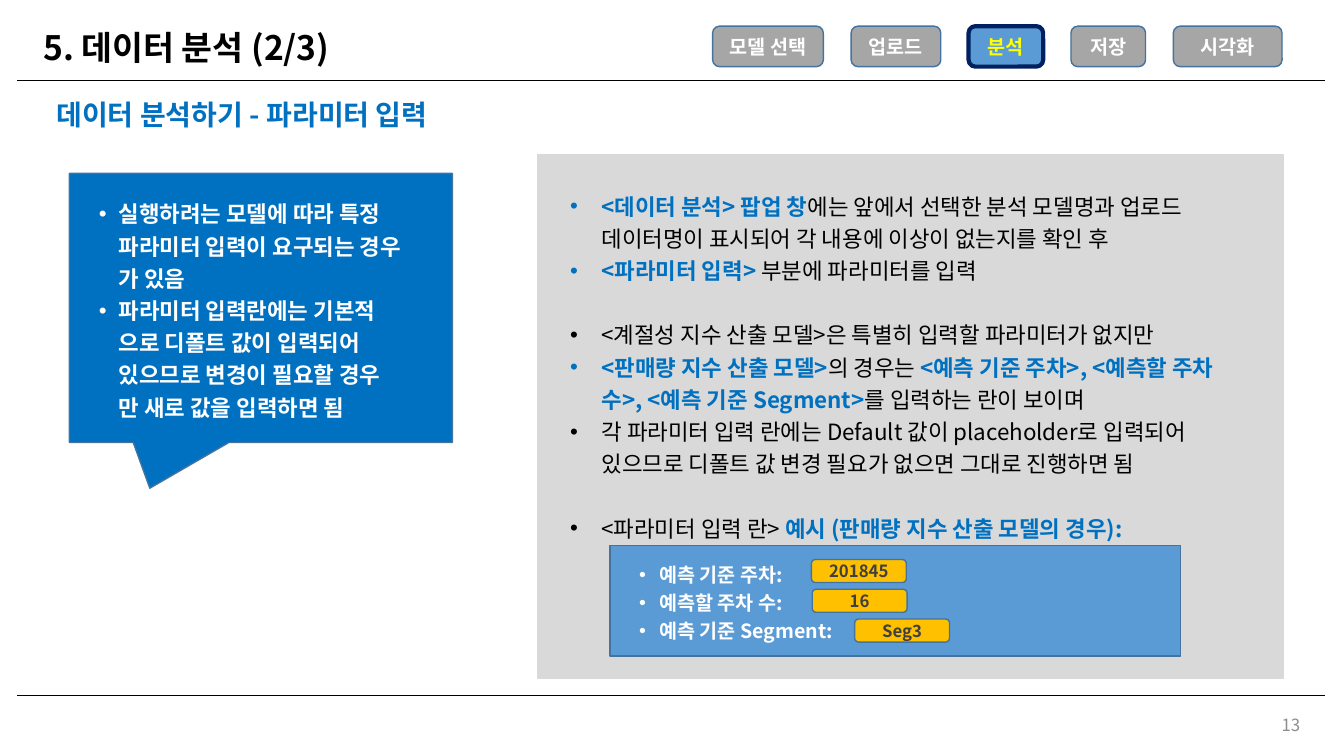
"""Build the parameter-input slide of the data analysis section."""
from dataclasses import dataclass

from lxml import etree
from pptx import Presentation
from pptx import util as u
from pptx.dml.color import RGBColor
from pptx.enum import shapes, text
from pptx.oxml import ns


@dataclass(frozen=True)
class Theme:
    font: str = "Noto Sans CJK KR"
    black: str = "000000"
    white: str = "FFFFFF"
    accent: str = "0070C0"
    sky: str = "5B9BD5"
    navy: str = "002060"
    edge: str = "43739E"
    yellow: str = "FFFF00"
    amber: str = "FFC000"
    dark: str = "404040"
    tab: str = "A6A6A6"
    panel: str = "D9D9D9"
    muted: str = "8C8C8C"
    title: int = 24
    subtitle: int = 20
    body: int = 16
    label: int = 14
    small: int = 12


T = Theme()
SHAPE, ALIGN = shapes.MSO_SHAPE, text.PP_ALIGN


def write(tf, paras, size, color, bold=False, align=ALIGN.LEFT, spacing=None,
          indent=None, hanging=0.5, gaps=(), anchor=text.MSO_ANCHOR.MIDDLE):
    """Fill a frame with paragraphs, each a string or a list of (text, highlighted) pairs."""
    tf.word_wrap = True
    tf.vertical_anchor = anchor
    for i, para in enumerate(paras):
        p = tf.paragraphs[0] if i == 0 else tf.add_paragraph()
        p.alignment = align
        if indent is not None:
            pPr = p._p.get_or_add_pPr()
            pPr.set("marL", str(u.Cm(indent)))
            pPr.set("indent", str(-u.Cm(hanging)))
            etree.SubElement(pPr, ns.qn("a:buFont")).set("typeface", "Arial")
            etree.SubElement(pPr, ns.qn("a:buChar")).set("char", "•")
        if spacing:
            p.line_spacing = spacing
        if i in gaps:
            p.space_before = spacing
        for words, strong in [(para, False)] if isinstance(para, str) else para:
            for n, line in enumerate(words.split("\n")):
                if n:
                    p.add_line_break()
                r = p.add_run()
                r.text = line
                r.font.name = T.font
                r.font.size = u.Pt(size)
                r.font.bold = bold or strong
                r.font.color.rgb = RGBColor.from_string(T.accent if strong else color)
                ea = etree.SubElement(r._r.get_or_add_rPr(), ns.qn("a:ea"))
                ea.set("typeface", T.font)


def add_box(kind, left, top, width, height, fill, line=T.edge, weight=1):
    """Add a flat filled shape, measured in centimetres."""
    sp = s.shapes.add_shape(kind, u.Cm(left), u.Cm(top), u.Cm(width), u.Cm(height))
    sp.shadow.inherit = False
    sp.fill.solid()
    sp.fill.fore_color.rgb = RGBColor.from_string(fill)
    sp.line.color.rgb = RGBColor.from_string(line)
    sp.line.width = u.Pt(weight)
    return sp


prs = Presentation()
prs.slide_width, prs.slide_height = u.Cm(33.87), u.Cm(19.05)
s = prs.slides.add_slide(prs.slide_layouts[6])

for y in (2.03, 17.53):
    rule = s.shapes.add_connector(shapes.MSO_CONNECTOR.STRAIGHT,
                                  u.Cm(0.43), u.Cm(y), u.Cm(33.4), u.Cm(y))
    rule.line.color.rgb = RGBColor.from_string(T.black)
    rule.line.width = u.Pt(1)
    etree.SubElement(rule._element.spPr, ns.qn("a:effectLst"))

headings = [
    ("5. 데이터 분석 (2/3)", (0.84, 0.51, 31.95, 1.5),
     dict(size=T.title, color=T.black, bold=True, spacing=0.9)),
    ("데이터 분석하기 - 파라미터 입력", (1.17, 2.31, 31.6, 1.24),
     dict(size=T.subtitle, color=T.accent, bold=True, spacing=0.9)),
    ("13", (25.4, 17.75, 7.62, 1.02),
     dict(size=T.small, color=T.muted, align=ALIGN.RIGHT)),
]
for words, place, style in headings:
    tb = s.shapes.add_textbox(*map(u.Cm, place))
    write(tb.text_frame, [words], **style)

add_box(SHAPE.RECTANGLE, 13.56, 3.89, 18.77, 13.21, T.panel, T.panel)
guide = s.shapes.add_textbox(u.Cm(14.12), u.Cm(4.6), u.Cm(17.15), u.Cm(10.11))
write(guide.text_frame, [
    [("<데이터 분석> 팝업 창", True),
     ("에는 앞에서 선택한 분석 모델명과 업로드 데이터명이 표시되어 "
      "각 내용에 이상이 없는지를 확인 후", False)],
    [("<파라미터 입력> ", True), ("부분에 파라미터를 입력", False)],
    "<계절성 지수 산출 모델>은 특별히 입력할 파라미터가 없지만",
    [("<판매량 지수 산출 모델>", True), ("의 경우는 ", False),
     ("<예측 기준 주차>, <예측할 주차 수>, <예측 기준 Segment>", True),
     ("를 입력하는 란이 보이며", False)],
    "각 파라미터 입력 란에는 Default 값이 placeholder로 입력되어\n"
    "있으므로 디폴트 값 변경 필요가 없으면 그대로 진행하면 됨",
    [("<파라미터 입력 란> ", False), ("예시 (판매량 지수 산출 모델의 경우):", True)],
], T.body, T.black, spacing=u.Pt(23), indent=0.79, hanging=0.79, gaps=(2, 5),
    anchor=text.MSO_ANCHOR.TOP)

callout = add_box(SHAPE.RECTANGULAR_CALLOUT, 1.75, 4.37, 9.65, 6.78, T.accent)
callout.adjustments[0], callout.adjustments[1] = -0.29, 0.67
write(callout.text_frame, [
    "실행하려는 모델에 따라 특정\n파라미터 입력이 요구되는 경우\n가 있음",
    "파라미터 입력란에는 기본적\n으로 디폴트 값이 입력되어\n"
    "있으므로 변경이 필요할 경우\n만 새로 값을 입력하면 됨",
], T.body, T.white, bold=True, spacing=u.Pt(23), indent=0.99)

left = 17.96
for step, width in [("모델 선택", 2.79), ("업로드", 2.26), ("분석", 1.88),
                    ("저장", 1.88), ("시각화", 2.74)]:
    fill, line, weight, color = ((T.sky, T.navy, 3, T.yellow) if step == "분석"
                                 else (T.tab, T.edge, 1, T.white))
    sp = add_box(SHAPE.ROUNDED_RECTANGLE, left, 0.66, width, 1.02, fill, line, weight)
    write(sp.text_frame, [step], T.label, color, bold=True, align=ALIGN.CENTER)
    left += width + 0.7

example = add_box(SHAPE.RECTANGLE, 15.37, 13.74, 14.38, 2.79, T.sky)
write(example.text_frame, ["예측 기준 주차:", "예측할 주차 수:", "예측 기준 Segment:"],
      T.label, T.white, bold=True, spacing=u.Pt(20), indent=0.99)

for row, (value, x) in enumerate([("201845", 20.45), ("16", 20.47), ("Seg3", 21.54)]):
    sp = add_box(SHAPE.ROUNDED_RECTANGLE, x, 14.1 + row * 0.75, 2.39, 0.58, T.amber)
    sp.text_frame.margin_top = sp.text_frame.margin_bottom = 0
    write(sp.text_frame, [value], T.small, T.dark, bold=True, align=ALIGN.CENTER)

prs.save("out.pptx")
